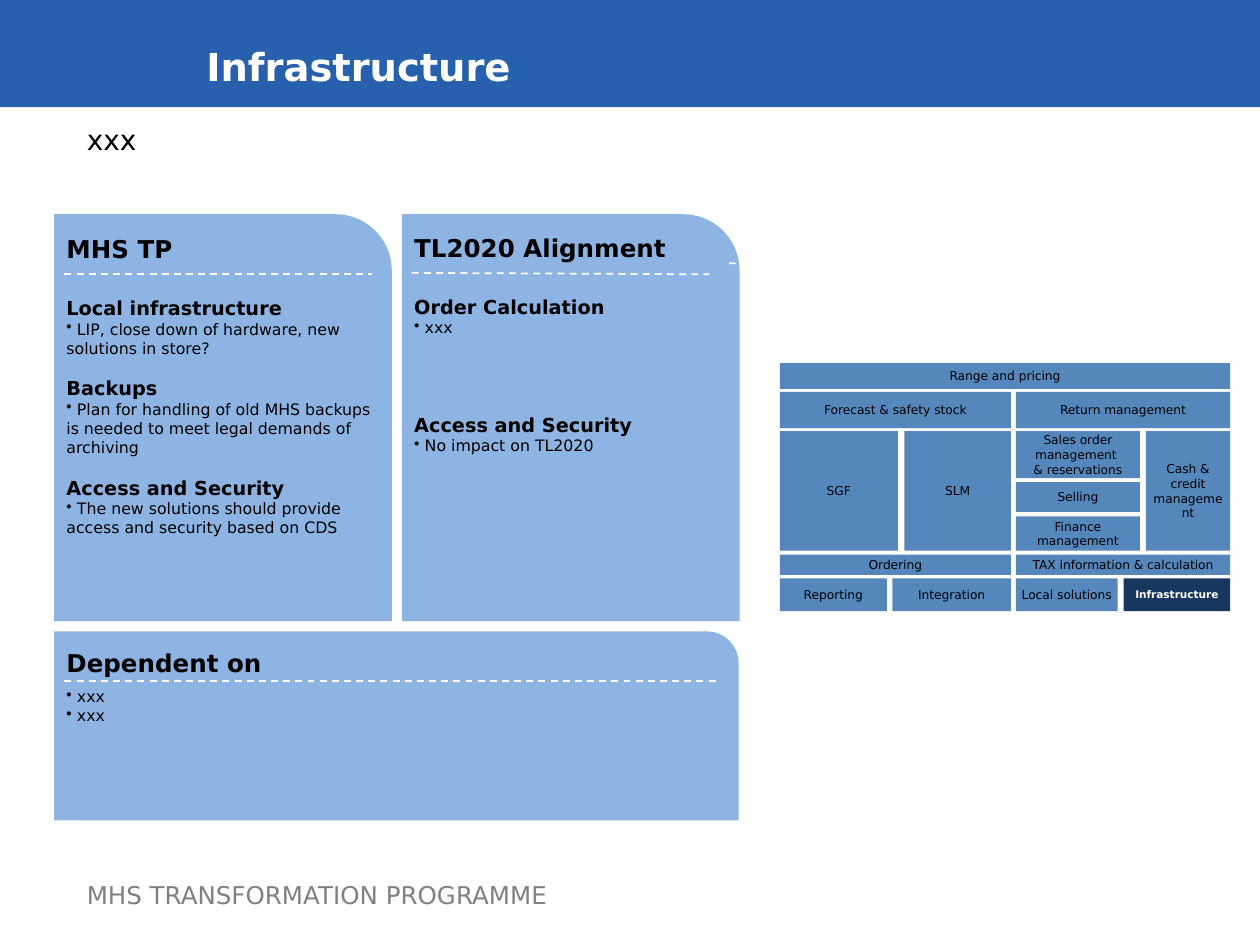
from lxml import etree
from pptx import Presentation
from pptx.dml.color import RGBColor
from pptx.enum.dml import MSO_LINE
from pptx.enum.shapes import MSO_CONNECTOR, MSO_SHAPE
from pptx.enum.text import MSO_ANCHOR, PP_ALIGN
from pptx.oxml.ns import qn
from pptx.util import Cm, Pt

RECTANGLE = MSO_SHAPE.RECTANGLE
ROUND_CORNER = MSO_SHAPE.ROUND_1_RECTANGLE
STRAIGHT = MSO_CONNECTOR.STRAIGHT
DASH = MSO_LINE.DASH
TOP, MIDDLE = MSO_ANCHOR.TOP, MSO_ANCHOR.MIDDLE
CENTER = PP_ALIGN.CENTER

WHITE = RGBColor(0xFF, 0xFF, 0xFF)
BLACK = RGBColor(0x00, 0x00, 0x00)
GREY = RGBColor(0x80, 0x80, 0x80)
BANNER_BLUE = RGBColor(0x27, 0x60, 0xAC)
PANEL_BLUE = RGBColor(0x8E, 0xB4, 0xE3)
CELL_BLUE = RGBColor(0x55, 0x87, 0xBD)
NAVY = RGBColor(0x17, 0x37, 0x5E)


class SlideBuilder:
    font_name = "DejaVu Sans"

    def __init__(self, page):
        self.page = page

    def style(self, para, size, color=BLACK, bold=False):
        font = para.font
        font.name, font.size, font.bold = self.font_name, Pt(size), bold
        font.color.rgb = color

    def block(self, left, top, width, height, fill, kind=RECTANGLE):
        shape = self.page.shapes.add_shape(
            kind, Cm(left), Cm(top), Cm(width), Cm(height))
        shape.shadow.inherit = False
        shape.fill.solid()
        shape.fill.fore_color.rgb = fill
        shape.line.fill.background()
        return shape

    def cell(self, text, left, top, right, height, margin=0.1):
        active = text == "Infrastructure"
        shape = self.block(left, top, right - left, height,
                           NAVY if active else CELL_BLUE)
        frame = shape.text_frame
        frame.word_wrap = True
        frame.vertical_anchor = MIDDLE
        frame.margin_left = frame.margin_right = Cm(margin)
        frame.margin_top = frame.margin_bottom = Cm(margin)
        para = frame.paragraphs[0]
        para.text = text
        para.alignment = CENTER
        if active:
            self.style(para, 6, WHITE, True)
        else:
            self.style(para, 7)

    def text_box(self, left, top, width, height, anchor=TOP):
        box = self.page.shapes.add_textbox(
            Cm(left), Cm(top), Cm(width), Cm(height))
        box.text_frame.word_wrap = True
        box.text_frame.vertical_anchor = anchor
        return box.text_frame

    def label(self, text, left, top, width, height, size,
              color=BLACK, bold=False, anchor=TOP):
        frame = self.text_box(left, top, width, height, anchor)
        frame.paragraphs[0].text = text
        self.style(frame.paragraphs[0], size, color, bold)
        return frame

    def bullet(self, para, text):
        para.text = " " + text
        mark = etree.SubElement(para._p.get_or_add_pPr(), qn("a:buChar"))
        mark.set("char", "•")
        self.style(para, 9)

    def panel_text(self, heading, sections, left, top, width, height):
        """Each section is (gap above in points, title or None, bullets)."""
        frame = self.label(heading, left, top, width, height, 14, bold=True)
        for gap, title, bullets in sections:
            if title:
                para = frame.add_paragraph()
                para.text = title
                para.space_before = Pt(gap)
                self.style(para, 11, bold=True)
                gap = 0
            for text in bullets:
                para = frame.add_paragraph()
                para.space_before = Pt(gap)
                self.bullet(para, text)
                gap = 0

    def dashed_rule(self, left, right, y, y_end=None):
        rule = self.page.shapes.add_connector(
            STRAIGHT, Cm(left), Cm(y), Cm(right), Cm(y_end or y))
        rule.line.color.rgb = WHITE
        rule.line.width = Pt(1)
        rule.line.dash_style = DASH
        etree.SubElement(rule._element.spPr, qn("a:effectLst"))


# Panels: heading, sections, left, top, width, height, text offset, text height
PANELS = [
    ("MHS TP", [
        (18.6, "Local infrastructure",
         ["LIP, close down of hardware, new solutions in store?"]),
        (11, "Backups",
         ["Plan for handling of old MHS backups is needed to meet "
          "legal demands of archiving"]),
        (11, "Access and Security",
         ["The new solutions should provide access and security based on CDS"]),
    ], 1.09, 4.32, 6.81, 8.2, 0.28, 6.81),
    ("TL2020 Alignment", [
        (18.6, "Order Calculation", ["xxx"]),
        (43.5, "Access and Security", ["No impact on TL2020"]),
    ], 8.1, 4.32, 6.81, 8.2, 0.25, 5.18),
    ("Dependent on", [(5.8, None, ["xxx", "xxx"])],
     1.09, 12.73, 13.8, 3.81, 0.2, 2.77),
]

# Process map: top, height, cells as (text, left, right)
LEFT, LEFT_END, RIGHT, RIGHT_END = 15.72, 20.38, 20.48, 24.8
SIDE_END, CASH = 22.98, 23.1
PROCESS_ROWS = [
    (7.32, 0.52, [("Range and pricing", LEFT, RIGHT_END)]),
    (7.9, 0.73, [("Forecast & safety stock", LEFT, LEFT_END),
                 ("Return management", RIGHT, RIGHT_END)]),
    (8.69, 2.41, [("SGF", LEFT, 18.1), ("SLM", 18.23, LEFT_END),
                  ("Cash & credit management", CASH, RIGHT_END)]),
    (8.69, 0.95, [("Sales order management \v& reservations", RIGHT, SIDE_END)]),
    (9.72, 0.6, [("Selling", RIGHT, SIDE_END)]),
    (10.41, 0.69, [("Finance management", RIGHT, SIDE_END)]),
    (11.18, 0.41, [("Ordering", LEFT, LEFT_END),
                   ("TAX information & calculation", RIGHT, RIGHT_END)]),
    (11.66, 0.66, [("Reporting", LEFT, 17.88), ("Integration", 17.99, LEFT_END),
                   ("Local solutions", RIGHT, 22.53),
                   ("Infrastructure", 22.65, RIGHT_END)]),
]


def main():
    deck = Presentation()
    deck.slide_width, deck.slide_height = Cm(25.4), Cm(19.05)
    builder = SlideBuilder(deck.slides.add_slide(deck.slide_layouts[6]))

    # Banner, title, subtitle and footer
    builder.block(0, 0, 25.4, 2.16, BANNER_BLUE)
    builder.label("Infrastructure", 3.91, 0.74, 20, 1.4, 22, WHITE, True)
    builder.label("xxx", 1.5, 2.34, 22.86, 1.4, 16)
    footer = builder.label("MHS TRANSFORMATION PROGRAMME", 1.5, 17.53,
                           10.2, 1.6, 14, GREY, anchor=MIDDLE)
    footer.margin_bottom = Cm(0.7)

    # Panels with their text
    for heading, sections, left, top, width, height, offset, text_height in PANELS:
        builder.block(left, top, width, height, PANEL_BLUE, ROUND_CORNER)
        builder.panel_text(heading, sections, left, top + offset,
                           width, text_height)

    # Dashed rules under the headings
    builder.dashed_rule(1.3, 7.5, 5.53)
    builder.dashed_rule(8.3, 14.3, 5.5, 5.53)
    builder.dashed_rule(14.7, 20.9, 5.31, 5.33)
    builder.dashed_rule(1.3, 14.5, 13.73)

    # Process map
    for top, height, cells in PROCESS_ROWS:
        for text, left, right in cells:
            builder.cell(text, left, top, right, height)

    deck.save("out.pptx")


if __name__ == "__main__":
    main()
